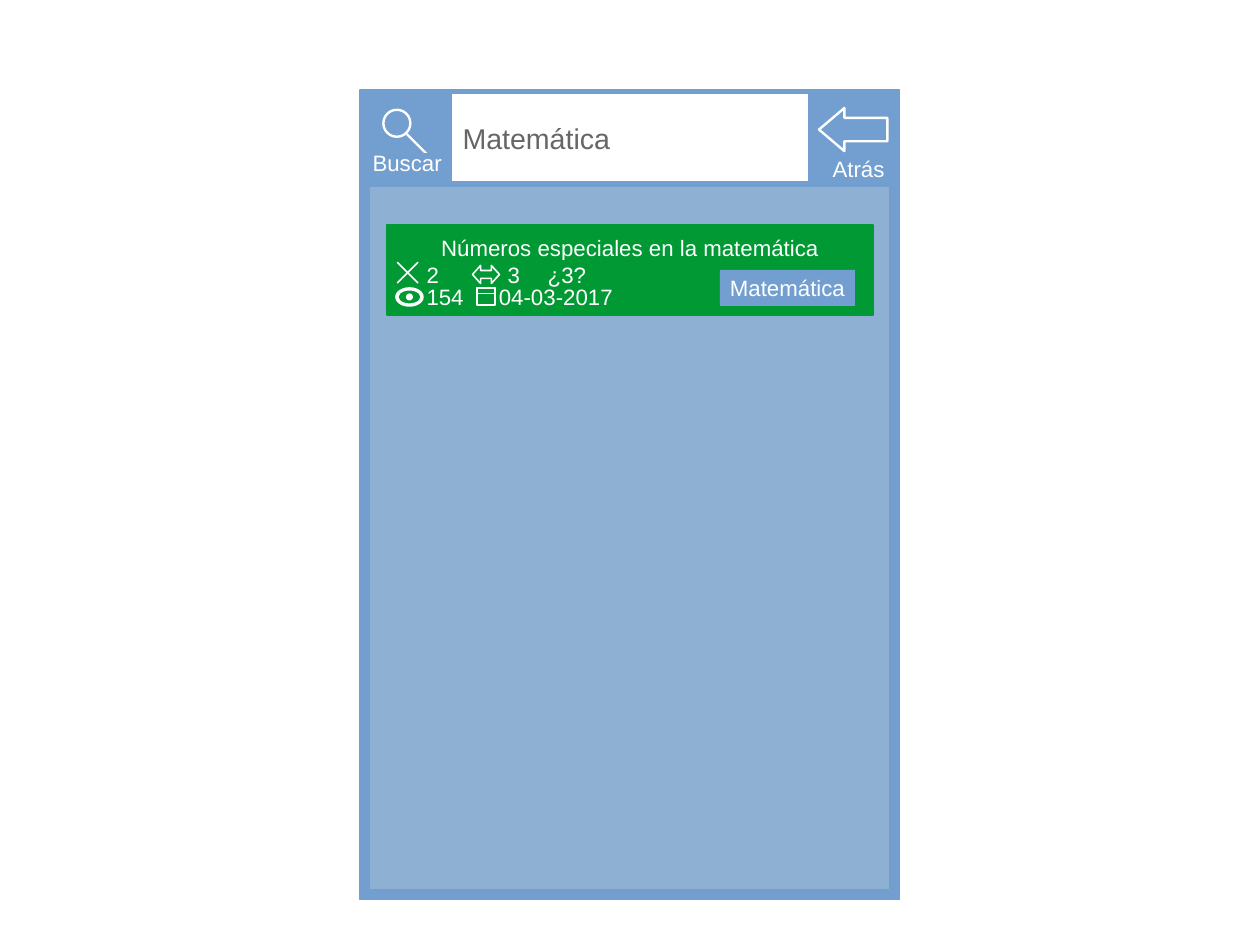
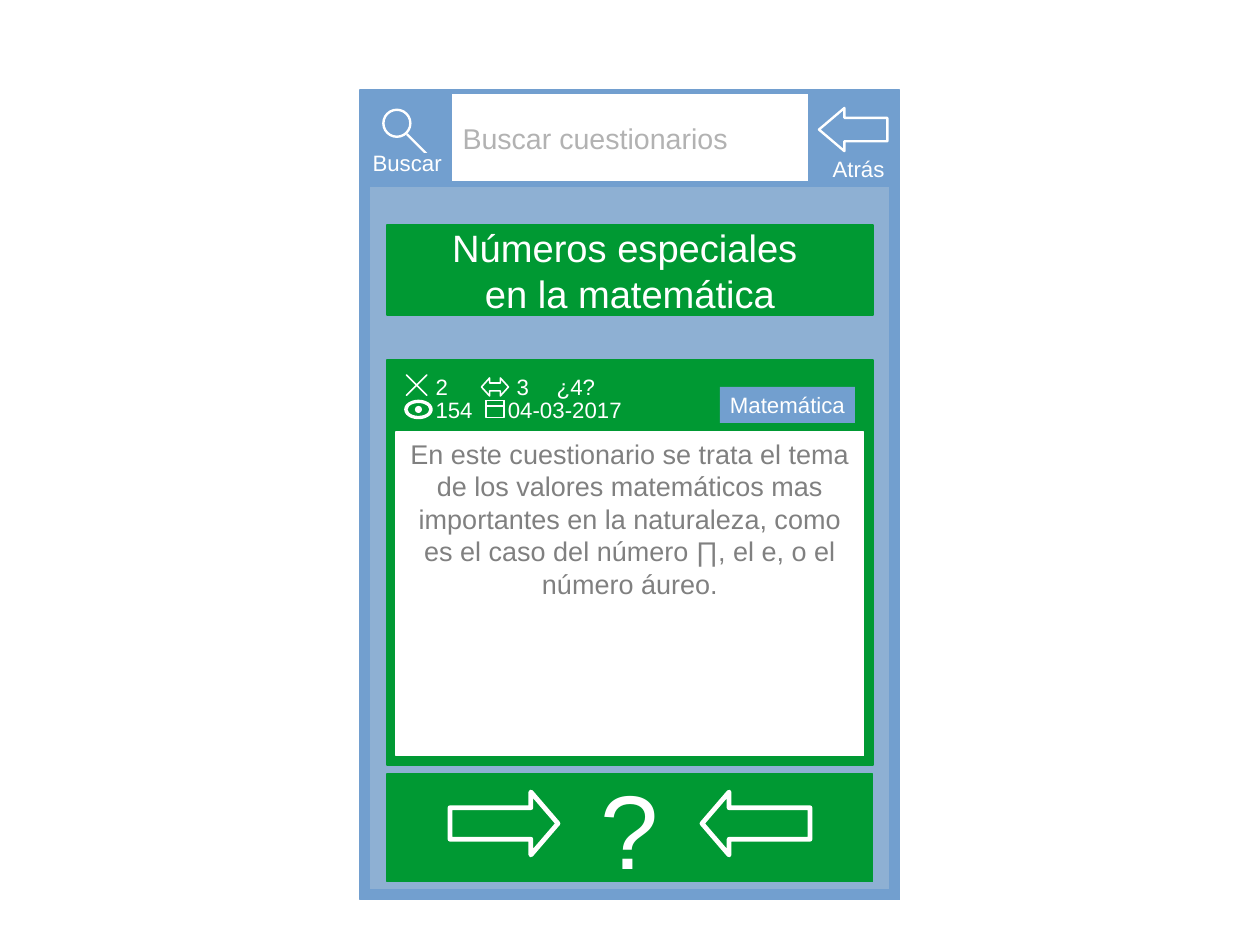
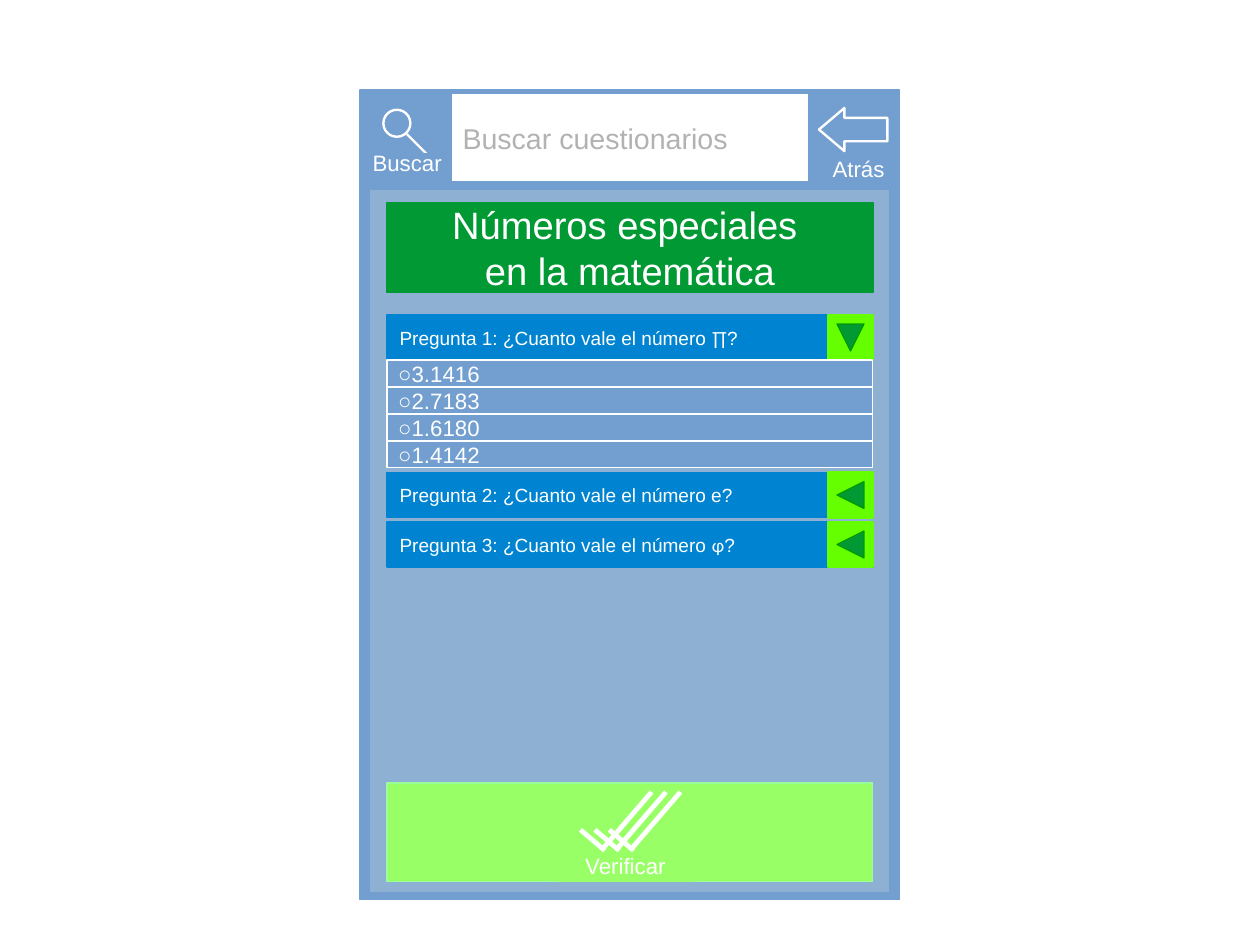
from pptx import Presentation
from pptx.dml.color import RGBColor
from pptx.enum.shapes import MSO_CONNECTOR, MSO_SHAPE
from pptx.enum.text import MSO_ANCHOR, MSO_AUTO_SIZE, PP_ALIGN
from pptx.oxml.ns import qn
from pptx.util import Cm, Inches, Pt
from lxml.etree import SubElement

# Slide size and a grid of equal square cells
WIDE, HIGH = Cm(28), Cm(21)
COLS, ROWS = 140, 105

# Shared colours
WHITE, BLUE, PANEL, GREEN = "FFFFFF", "729FCF", "8EB0D3", "009933"
DEEP, LIME, MINT = "0084D1", "66FF00", "99FF66"
DARK, PALE, GREY = "666666", "B2B2B2", "808080"

LEFT, MID, RIGHT = PP_ALIGN.LEFT, PP_ALIGN.CENTER, PP_ALIGN.RIGHT
# Left edge and width of every card
EDGE, SPAN = 43, 54


def paint(code):
    return RGBColor.from_string(code)


class Screen:
    """Phone screen on a slide; lengths are columns and rows."""

    font = "Arial"

    def __init__(self):
        self.deck = Presentation()
        self.deck.slide_width, self.deck.slide_height = WIDE, HIGH
        self.slide = None

    # Basic elements
    def cells(self, x, y):
        return round(x * WIDE / COLS), round(y * HIGH / ROWS)

    def style(self, item, fill, line, width):
        item.fill.solid()
        item.fill.fore_color.rgb = paint(fill)
        if line:
            item.line.color.rgb = paint(line)
            item.line.width = Pt(width)
        else:
            item.line.fill.background()

    def shape(self, kind, x, y, w, h, fill, line=None, width=0, turn=0, adj=()):
        item = self.slide.shapes.add_shape(
            kind, *self.cells(x, y), *self.cells(w, h))
        item.shadow.inherit = False
        item.rotation = turn
        for i, value in enumerate(adj):
            item.adjustments[i] = value
        self.style(item, fill, line, width)
        return item

    def box(self, x, y, w, h, fill, line=None, width=0):
        return self.shape(MSO_SHAPE.RECTANGLE, x, y, w, h, fill, line, width)

    def line(self, start, end, width):
        item = self.slide.shapes.add_connector(
            MSO_CONNECTOR.STRAIGHT, *self.cells(*start), *self.cells(*end))
        item.line.color.rgb = paint(WHITE)
        item.line.width = Pt(width)
        SubElement(item._element.spPr, qn("a:effectLst"))

    def text(self, item, lines, size=14, color=WHITE, align=MID,
             pad=0.11, anchor=MSO_ANCHOR.MIDDLE, wrap=False):
        """Each line is a string or a list of (string, font) runs."""
        frame = item.text_frame
        frame.auto_size = MSO_AUTO_SIZE.NONE
        frame.word_wrap = wrap
        frame.vertical_anchor = anchor
        frame.margin_left = frame.margin_right = Inches(pad)
        frame.margin_top = frame.margin_bottom = Inches(0.05)
        for i, runs in enumerate(lines):
            para = frame.add_paragraph() if i else frame.paragraphs[0]
            para.alignment = align
            if isinstance(runs, str):
                runs = [(runs, self.font)]
            for words, face in runs:
                run = para.add_run()
                run.text = words
                run.font.name, run.font.size = face, Pt(size)
                run.font.color.rgb = paint(color)

    def label(self, words, x, y, w, h, fill=GREEN, **look):
        self.text(self.box(x, y, w, h, fill, fill, 1), [words], **look)

    def title(self, lines, x, y, w, h, size):
        item = self.slide.shapes.title
        self.slide.shapes._spTree.append(item._element)
        item.left, item.top = self.cells(x, y)
        item.width, item.height = self.cells(w, h)
        self.style(item, GREEN, GREEN, 1)
        self.text(item, lines, size)

    # Parts of the phone screen
    def start(self, query, color, top=20.7):
        self.slide = self.deck.slides.add_slide(self.deck.slide_layouts[5])
        self.box(40, 10, 60, 90, BLUE, BLUE)
        field = self.box(50, 10.3, 40, 10, WHITE, BLUE, 2.3)
        self.text(field, [query], 18, color, LEFT)
        self.box(41, top, 57.8, 78.2, PANEL, BLUE)
        # Search button
        self.shape(MSO_SHAPE.OVAL, 42.6, 12.2, 3, 3, BLUE, WHITE, 1.5)
        self.line((45.2, 14.9), (47.5, 17.2), 1.5)
        self.label("Buscar", 41.05, 17.1, 8.4, 1.9, BLUE)
        # Back button
        self.label("Atrás", 91, 17.7, 8.8, 2, BLUE)
        self.shape(MSO_SHAPE.LEFT_ARROW, 91, 12, 7.6, 4.8, BLUE, WHITE, 1.5,
                   adj=(0.54, 0.59))

    def head(self, y):
        self.title(["Números especiales ", "en la matemática"],
                   EDGE, y, SPAN, 10, 24)

    def stats(self, x, y, count):
        # Counts and date
        self.label("2", x, y, 7, 3, align=LEFT)
        self.label("154", x, y + 2.5, 7, 3, align=LEFT)
        self.label("04-03-2017", x + 8.5, y + 2.5, 15, 3, align=RIGHT)
        self.label("3", x + 9, y, 7, 3, align=LEFT)
        self.label(count, x + 15.5, y, 3, 3)
        # Cross, double arrow, eye and calendar
        self.shape(MSO_SHAPE.CROSS, x - 2.3, y - 0.3, 3.2, 3.2,
                   BLUE, WHITE, 1, 45, (0.5,))
        self.shape(MSO_SHAPE.LEFT_RIGHT_ARROW, x + 6.5, y + 0.5, 3, 2,
                   GREEN, WHITE, 1, adj=(0.44, 0.45))
        self.shape(MSO_SHAPE.DONUT, x - 2, y + 3, 3, 2,
                   WHITE, WHITE, 1, adj=(0.1,))
        self.shape(MSO_SHAPE.OVAL, x - 0.8, y + 3.7, 0.6, 0.6,
                   WHITE, WHITE, 1)
        for tall in (1.9, 0.6):
            self.box(x + 7, y + 3, 2, tall, GREEN, WHITE, 1)

    def topic(self, y):
        self.text(self.box(80, y, 15, 4, BLUE), ["Matemática"], pad=0.1)

    def ask(self, y, number, sign, face, turn):
        bar = self.box(EDGE, y, SPAN, 5, DEEP, DEEP, 1)
        words = f"Pregunta {number}: ¿Cuanto vale el número "
        runs = [(words, self.font), (sign, face), ("?", self.font)]
        self.text(bar, [runs], 12, align=LEFT)
        self.box(92, y, 5, 5, LIME, LIME, 1.5)
        self.shape(MSO_SHAPE.ISOSCELES_TRIANGLE, 93, y + 1, 3, 3,
                   GREEN, "009900", turn=turn)


def results(app):
    app.start("Matemática", DARK)
    app.box(EDGE, 25, SPAN, 10, GREEN, GREEN, 1)
    app.title(["Números especiales en la matemática"], 44, 26, 52, 3, 14)
    app.stats(46, 29, "¿3?")
    app.topic(30)


def summary(app):
    app.start("Buscar cuestionarios", PALE)
    app.head(25)
    # Description card
    app.box(EDGE, 40, SPAN, 45, GREEN, GREEN, 1)
    app.stats(47, 41.5, "¿4?")
    app.topic(43)
    app.text(app.box(44, 48, 52, 36, WHITE, WHITE),
             ["En este cuestionario se trata el tema de los valores "
              "matemáticos mas importantes en la naturaleza, como es el "
              "caso del número ∏, el e, o el número áureo."],
             17, GREY, pad=0.1, anchor=MSO_ANCHOR.TOP, wrap=True)
    # Navigation bar
    app.text(app.box(EDGE, 86, SPAN, 12, GREEN, GREEN), ["?"], 66)
    for x, turn in ((50, 0), (78, 180)):
        app.shape(MSO_SHAPE.RIGHT_ARROW, x, 88, 12, 7, GREEN, WHITE, 3,
                  turn, (0.5, 0.43))


def quiz(app):
    app.start("Buscar cuestionarios", PALE, 21)
    app.head(22.5)
    # Questions and the answers of the open one
    app.ask(35, 1, "∏", "Calibri", 180)
    for i, value in enumerate(("3.1416", "2.7183", "1.6180", "1.4142")):
        row = app.box(EDGE, 40 + 3 * i, SPAN, 3, BLUE, WHITE)
        app.text(row, ["○" + value], align=LEFT, pad=0.1)
    app.ask(52.5, 2, "e", app.font, 270)
    app.ask(58, 3, "φ", "Calibri", 270)
    # Verify button with three ticks
    app.box(EDGE, 87, SPAN, 11, MINT, "99FF99")
    app.label("Verificar", 62, 94.5, 15, 3.4, MINT)
    for i in range(3):
        x = 64.5 + 1.6 * i
        app.line((x, 92.2), (x + 2.7, 94.5), 3)
        app.line((x + 7.9, 88), (x + 2.3, 94.5), 3)


def main():
    app = Screen()
    for build in (results, summary, quiz):
        build(app)
    app.deck.save("out.pptx")


if __name__ == "__main__":
    main()
